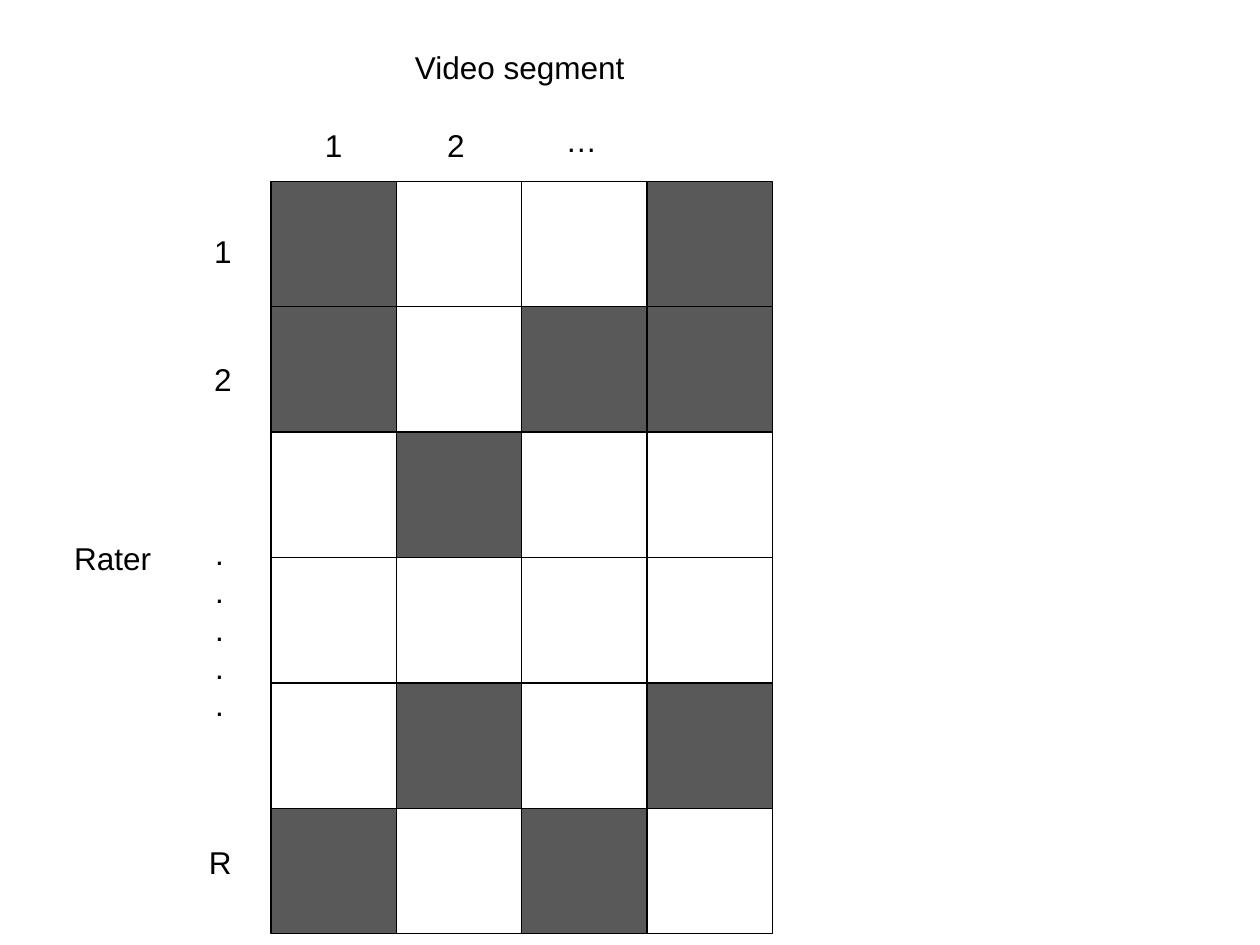
from dataclasses import dataclass

from pptx import Presentation
from pptx.dml.color import RGBColor
from pptx.enum.shapes import MSO_SHAPE
from pptx.enum.text import MSO_ANCHOR, MSO_AUTO_SIZE, PP_ALIGN
from pptx.slide import Slide
from pptx.text.text import TextFrame
from pptx.util import Inches, Pt

COLORS = {"rated": "595959", "ink": "000000"}
GRID_LEFT, GRID_TOP = 2.15, 1.44
GRID_WIDTH, GRID_HEIGHT = 3.98, 5.97
RATINGS = ["#..#", "#.##", ".#..", "....", ".#.#", "#.#."]


@dataclass
class Label:
    lines: list[str]
    left: float
    top: float
    width: float
    height: float = 0.4
    wrap: bool = True


LABELS = [
    Label(["Rater"], 0.49, 4.23, 0.82, wrap=False),
    Label(["1"], 2.48, 0.95, 0.55),
    Label(["2"], 3.45, 0.95, 0.41),
    Label(["…"], 4.39, 0.91, 0.8),
    Label(["1"], 1.6, 1.79, 0.55),
    Label(["2"], 1.6, 2.81, 0.41),
    Label(["R"], 1.56, 6.64, 0.48),
    Label(["."] * 5, 1.61, 4.19, 0.48, 1.62),
]


def color(name: str) -> RGBColor:
    return RGBColor.from_string(COLORS[name])


def write(frame: TextFrame, lines: list[str], alignment: PP_ALIGN, wrap: bool = True) -> None:
    frame.word_wrap = wrap
    frame.auto_size = MSO_AUTO_SIZE.SHAPE_TO_FIT_TEXT
    frame.vertical_anchor = MSO_ANCHOR.TOP
    for index, line in enumerate(lines):
        paragraph = frame.add_paragraph() if index else frame.paragraphs[0]
        paragraph.alignment = alignment
        span = paragraph.add_run()
        span.text = line
        span.font.name = "Arial"
        span.font.size = Pt(18)
        span.font.color.rgb = color("ink")


def draw_title(page: Slide, text: str) -> None:
    title = page.shapes.title
    title.left, title.top = Inches(2.12), Inches(0.33)
    title.width, title.height = Inches(4.01), Inches(0.4)
    write(title.text_frame, [text], PP_ALIGN.CENTER)


def draw_label(page: Slide, label: Label) -> None:
    box = page.shapes.add_textbox(
        Inches(label.left), Inches(label.top), Inches(label.width), Inches(label.height)
    )
    write(box.text_frame, label.lines, PP_ALIGN.LEFT, label.wrap)


def draw_grid(page: Slide, ratings: list[str]) -> None:
    cell_width = GRID_WIDTH / len(ratings[0])
    cell_height = GRID_HEIGHT / len(ratings)
    for row, marks in enumerate(ratings):
        for column, mark in enumerate(marks):
            cell = page.shapes.add_shape(
                MSO_SHAPE.RECTANGLE,
                Inches(GRID_LEFT + column * cell_width),
                Inches(GRID_TOP + row * cell_height),
                Inches(cell_width),
                Inches(cell_height),
            )
            cell.shadow.inherit = False
            cell.line.color.rgb = color("ink")
            cell.line.width = Pt(0.75)
            if mark == "#":
                cell.fill.solid()
                cell.fill.fore_color.rgb = color("rated")
            else:
                cell.fill.background()


def main() -> None:
    deck = Presentation()
    deck.slide_width, deck.slide_height = Inches(10), Inches(7.5)
    page = deck.slides.add_slide(deck.slide_layouts.get_by_name("Title Only"))
    draw_title(page, "Video segment")
    draw_grid(page, RATINGS)
    for label in LABELS:
        draw_label(page, label)
    deck.save("out.pptx")


if __name__ == "__main__":
    main()
